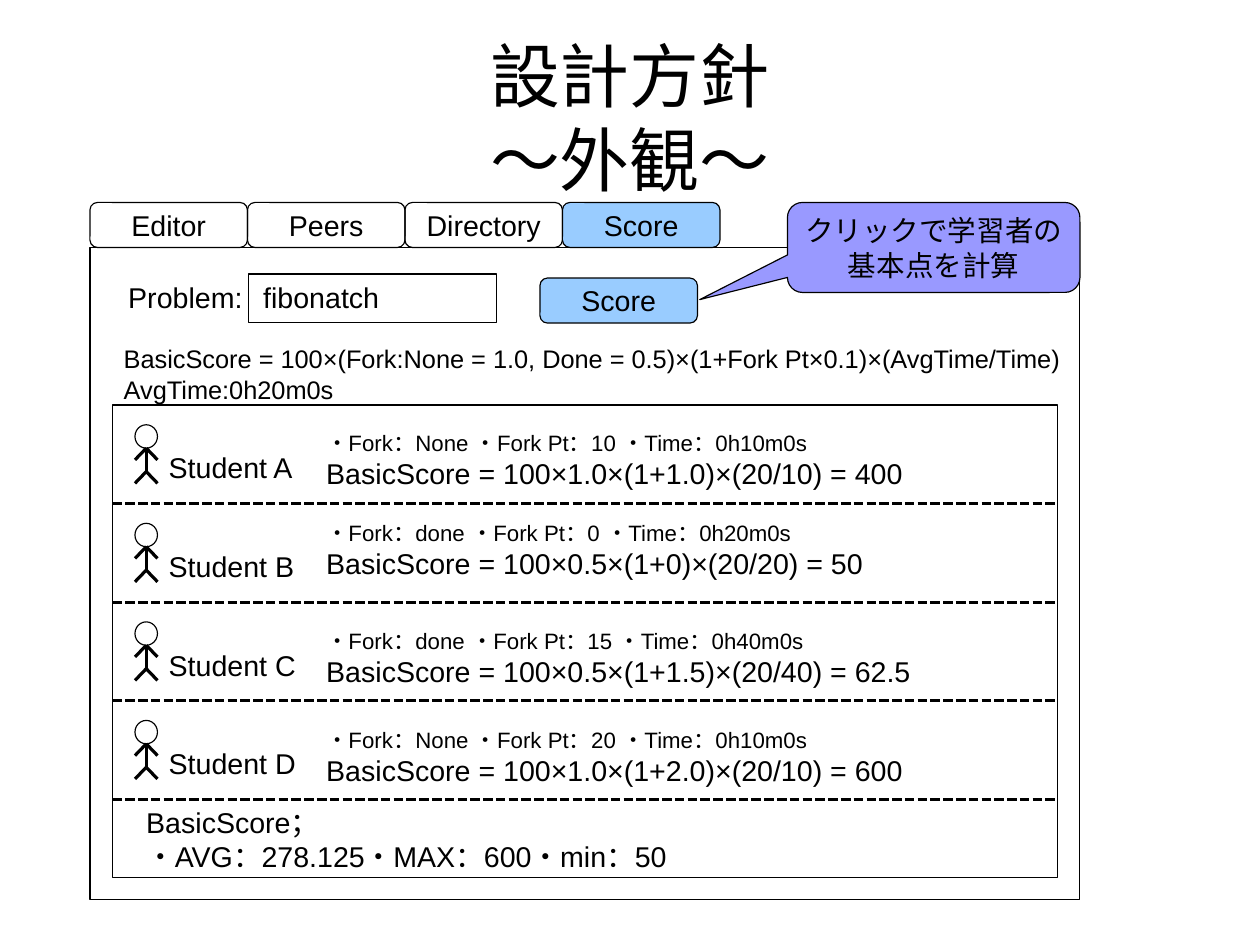
from dataclasses import dataclass

from lxml import etree
from pptx import Presentation
from pptx import util as u
from pptx.dml.color import RGBColor
from pptx.enum import dml, shapes, text
from pptx.oxml import ns
from pptx.util import Cm


@dataclass(frozen=True)
class Theme:
    font: str = "Arial"
    ink: RGBColor = RGBColor(0x00, 0x00, 0x00)
    active: RGBColor = RGBColor(0x99, 0xCC, 0xFF)
    callout: RGBColor = RGBColor(0x99, 0x99, 0xFF)
    title: int = 44
    body: int = 18
    formula: int = 16
    detail: int = 14


THEME = Theme()
BOX = shapes.MSO_SHAPE.RECTANGLE
ROUNDED = shapes.MSO_SHAPE.ROUNDED_RECTANGLE
OVAL = shapes.MSO_SHAPE.OVAL
CALLOUT = shapes.MSO_SHAPE.ROUNDED_RECTANGULAR_CALLOUT
ROW_TOP, ROW_PITCH = 9, 2.19
LIST_LEFT, LIST_WIDTH = 2.5, 21

STUDENTS = [
    ("Student A", 0.41, "・Fork：None ・Fork Pt：10 ・Time：0h10m0s",
     "BasicScore = 100×1.0×(1+1.0)×(20/10) = 400"),
    ("Student B", 0.21, "・Fork：done ・Fork Pt：0 ・Time：0h20m0s",
     "BasicScore = 100×0.5×(1+0)×(20/20) = 50"),
    ("Student C", 0.43, "・Fork：done ・Fork Pt：15 ・Time：0h40m0s",
     "BasicScore = 100×0.5×(1+1.5)×(20/40) = 62.5"),
    ("Student D", 0.43, "・Fork：None ・Fork Pt：20 ・Time：0h10m0s",
     "BasicScore = 100×1.0×(1+2.0)×(20/10) = 600"),
]


def write(tf, *lines, sizes=(THEME.body,), align=text.PP_ALIGN.LEFT,
          anchor=text.MSO_ANCHOR.TOP, inset=(0.25, 0.13), wrap=True):
    tf.word_wrap = wrap
    tf.vertical_anchor = anchor
    tf.margin_left = tf.margin_right = Cm(inset[0])
    tf.margin_top = tf.margin_bottom = Cm(inset[1])
    for i, line in enumerate(lines):
        p = tf.paragraphs[0] if i == 0 else tf.add_paragraph()
        p.text = line
        p.alignment = align
        for r in p.runs:
            r.font.name = THEME.font
            r.font.size = u.Pt(sizes[min(i, len(sizes) - 1)])
            r.font.color.rgb = THEME.ink


def add_text(s, x, y, w, h, *lines, **fmt):
    sp = s.shapes.add_textbox(Cm(x), Cm(y), Cm(w), Cm(h))
    write(sp.text_frame, *lines, **fmt)


def add_outline(s, kind, x, y, w, h, *lines, fill=None, wrap=True):
    sp = s.shapes.add_shape(kind, Cm(x), Cm(y), Cm(w), Cm(h))
    sp.shadow.inherit = False
    sp.line.color.rgb = THEME.ink
    sp.line.width = u.Pt(0)
    if fill is None:
        sp.fill.background()
    else:
        sp.fill.solid()
        sp.fill.fore_color.rgb = fill
    if lines:
        write(sp.text_frame, *lines, align=text.PP_ALIGN.CENTER,
              anchor=text.MSO_ANCHOR.MIDDLE, wrap=wrap)
    return sp


def add_line(s, x1, y1, x2, y2, dash=None):
    c = s.shapes.add_connector(shapes.MSO_CONNECTOR.STRAIGHT,
                               Cm(x1), Cm(y1), Cm(x2), Cm(y2))
    c.line.color.rgb = THEME.ink
    c.line.width = u.Pt(0)
    if dash is not None:
        c.line.dash_style = dash
    etree.SubElement(c._element.spPr, ns.qn("a:effectLst"))


def add_title(s, title):
    sp = s.shapes.title
    sp.left, sp.top, sp.width, sp.height = Cm(1.4), Cm(0.34), Cm(25.2), Cm(4.5)
    write(sp.text_frame, title, sizes=(THEME.title,), inset=(0, 0),
          align=text.PP_ALIGN.CENTER, anchor=text.MSO_ANCHOR.MIDDLE)


def add_figure(s, x, y):
    mid, neck, hip = x + 0.25, y + 0.52, y + 1.04
    add_outline(s, OVAL, x, y, 0.5, 0.52)
    add_line(s, mid, neck, mid, hip)
    for joint in (neck, hip):
        for end in (x, x + 0.5):
            add_line(s, mid, joint, end, joint + 0.26)


def add_student(s, top, name, offset, detail, score):
    add_figure(s, 3, top + 0.44)
    add_text(s, 3.5, top + 0.88, 3.5, 0.97, name)
    add_text(s, 7, top + offset, 16.5, 1.68, detail, score,
             sizes=(THEME.detail, THEME.body))
    bottom = top + ROW_PITCH
    add_line(s, LIST_LEFT, bottom, LIST_LEFT + LIST_WIDTH, bottom,
             dash=dml.MSO_LINE.SQUARE_DOT)


def add_window(s):
    for i, tab in enumerate(("Editor", "Peers", "Directory", "Score")):
        add_outline(s, ROUNDED, 2 + 3.5 * i, 4.5, 3.5, 1, tab,
                    fill=THEME.active if tab == "Score" else None)
    add_outline(s, BOX, 2, 5.5, 22, 14.5)
    add_outline(s, BOX, 5.53, 6.09, 5.5, 1.08)
    for x, label in ((2.5, "Problem:"), (5.5, "fibonatch")):
        add_text(s, x, 6, 3.5, 1.17, label, inset=(0.35, 0.22))
    add_outline(s, ROUNDED, 12, 6.18, 3.5, 1, "Score", fill=THEME.active)
    add_text(s, 2.5, 7.5, 21.5, 1.5,
             "BasicScore = 100×(Fork:None = 1.0, Done = 0.5)"
             "×(1+Fork Pt×0.1)×(AvgTime/Time)",
             "AvgTime:0h20m0s", sizes=(THEME.formula,))


def add_callout(s):
    sp = add_outline(s, CALLOUT, 17.5, 4.5, 6.5, 2, "クリックで学習者の",
                     "基本点を計算", fill=THEME.callout, wrap=False)
    sp.adjustments[0] = -0.8
    sp.adjustments[1] = 0.58


def main():
    prs = Presentation()
    prs.slide_width, prs.slide_height = Cm(28), Cm(21)
    s = prs.slides.add_slide(prs.slide_layouts[5])
    add_title(s, "設計方針\v～外観～")
    add_window(s)
    add_outline(s, BOX, LIST_LEFT, ROW_TOP, LIST_WIDTH, 10.5)
    for i, student in enumerate(STUDENTS):
        add_student(s, ROW_TOP + ROW_PITCH * i, *student)
    add_text(s, 3, 17.75, 16.5, 2.08, "BasicScore；",
             "・AVG：278.125・MAX：600・min：50")
    add_callout(s)
    prs.save("out.pptx")


if __name__ == "__main__":
    main()
